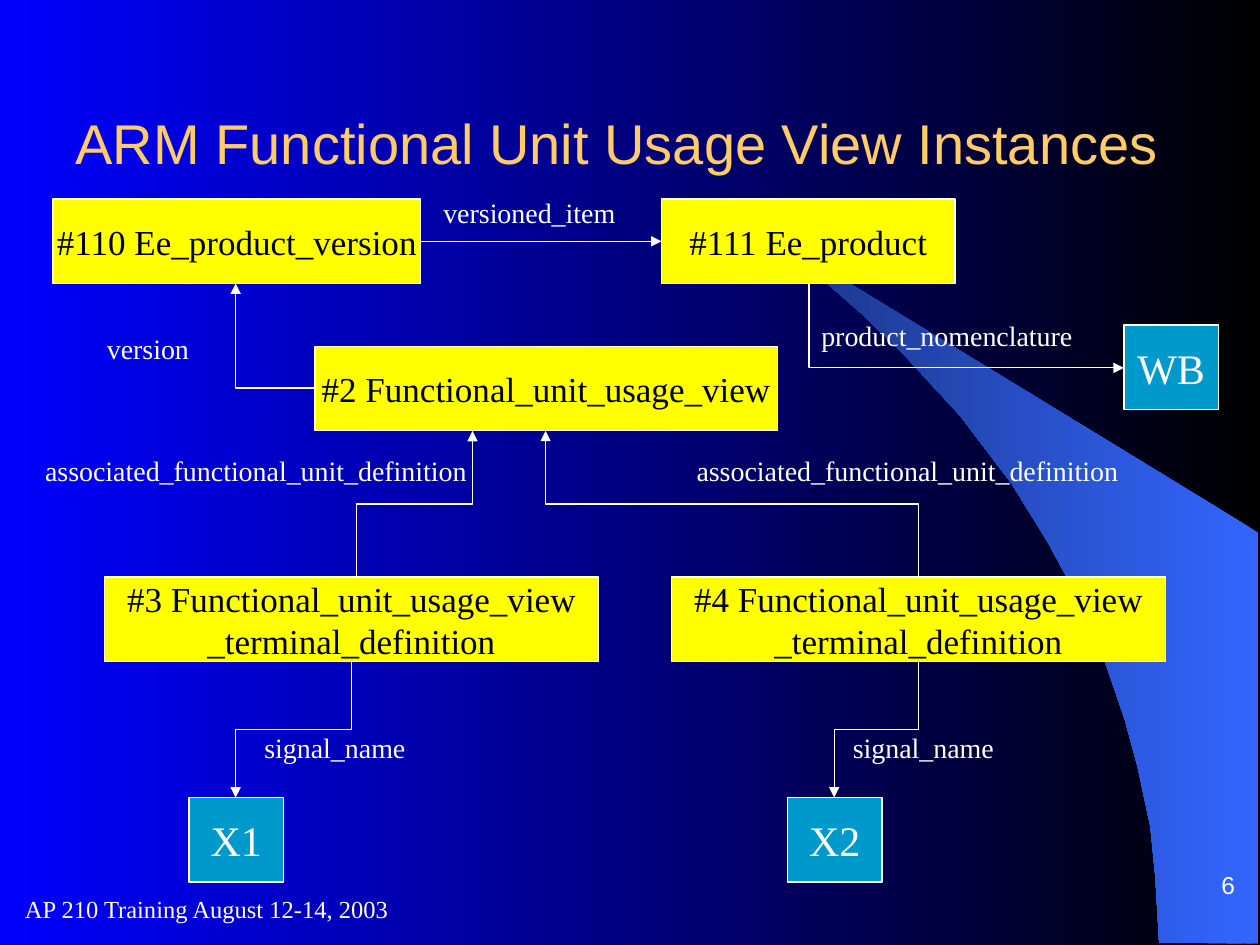
"""Build the slide on ARM functional unit usage view instances."""
from lxml import etree
from pptx import Presentation
from pptx.dml.color import RGBColor
from pptx.enum.shapes import MSO_CONNECTOR, MSO_SHAPE
from pptx.enum.text import MSO_ANCHOR, MSO_AUTO_SIZE, PP_ALIGN
from pptx.oxml.ns import qn
from pptx.util import Inches, Pt

RECT = MSO_SHAPE.RECTANGLE
STRAIGHT, ELBOW = MSO_CONNECTOR.STRAIGHT, MSO_CONNECTOR.ELBOW
LEFT, CENTER, RIGHT = PP_ALIGN.LEFT, PP_ALIGN.CENTER, PP_ALIGN.RIGHT
TOP, MIDDLE, BOTTOM = MSO_ANCHOR.TOP, MSO_ANCHOR.MIDDLE, MSO_ANCHOR.BOTTOM
FIT, FIXED = MSO_AUTO_SIZE.SHAPE_TO_FIT_TEXT, MSO_AUTO_SIZE.NONE
BLACK = RGBColor(0, 0, 0)
WHITE = RGBColor(255, 255, 255)
BLUE = RGBColor(0, 0, 255)
SKY = RGBColor(0x33, 0x66, 0xFF)
NAVY = RGBColor(0x19, 0x32, 0x7E)
GOLD = RGBColor(0xFF, 0xCC, 0x66)
YELLOW = RGBColor(255, 255, 0)
TEAL = RGBColor(0, 0x99, 0xCC)
SERIF, SANS = "Times New Roman", "Arial"

TITLE = "ARM Functional Unit Usage View Instances"
FOOTER = "AP 210 Training August 12-14, 2003"
NUMBER = "6"
BOX_H, VALUE_W, LABEL_H = 0.67, 0.75, 0.37
ENTITIES = [
    ("#2 Functional_unit_usage_view", 2.5, 2.75, 3.67),
    ("#3 Functional_unit_usage_view\n_terminal_definition", 0.83, 4.58, 3.92),
    ("#4 Functional_unit_usage_view\n_terminal_definition", 5.33, 4.58, 3.92),
    ("#110 Ee_product_version", 0.42, 1.58, 2.92),
    ("#111 Ee_product", 5.25, 1.58, 2.33),
]
VALUES = [("X1", 1.5, 6.33), ("X2", 6.25, 6.33), ("WB", 8.92, 2.58)]
LABELS = [
    ("associated_functional_unit_definition", 0.26, 3.55, 3.57),
    ("associated_functional_unit_definition", 5.43, 3.55, 3.57),
    ("signal_name", 2, 5.75, 1.34),
    ("signal_name", 6.67, 5.75, 1.34),
    ("version", 0.75, 2.58, 0.87),
    ("versioned_item", 3.42, 1.5, 1.6),
    ("product_nomenclature", 6.42, 2.48, 2.23),
]
BENDS = [
    ("up", (7.29, 4.58), (4.33, 3.42), 3),
    ("up", (2.83, 4.58), (3.75, 3.42), 3),
    ("down", (2.79, 5.25), (1.87, 6.33), 3),
    ("down", (7.29, 5.25), (6.62, 6.33), 3),
    ("left", (2.5, 3.08), (1.87, 2.25), 2),
    ("down", (6.42, 2.25), (8.92, 2.92), 2),
]
TURNS = {"down": 90, "left": 180, "up": 270}
SWOOSH = [
    (9.2, 7.48), (9.99, 7.49), (9.99, 4.23), (5.89, 1.73), (6.24, 1.99),
    (6.53, 2.22), (6.85, 2.5), (7.16, 2.8), (7.62, 3.3), (8.03, 3.84),
    (8.32, 4.31), (8.58, 4.79), (8.78, 5.28), (8.93, 5.72), (9.03, 6.09),
    (9.13, 6.56), (9.17, 6.96),
]


def shade(fill, first, last):
    fill.gradient()
    fill.gradient_angle = 180
    for stop, color in zip(fill.gradient_stops, (first, last)):
        stop.color.rgb = color


def write(shape, text, size, color, font=SERIF, align=LEFT, anchor=MIDDLE,
          wrap=False, fit=FIXED):
    frame = shape.text_frame
    frame.word_wrap, frame.auto_size = wrap, fit
    frame.vertical_anchor = anchor
    para = frame.paragraphs[0]
    para.text, para.alignment = text, align
    for run in para.runs:
        run.font.size, run.font.name = Pt(size), font
        run.font.color.rgb = color


def add_box(shapes, text, left, top, width, fill, size, color):
    box = shapes.add_shape(RECT, *map(Inches, (left, top, width, BOX_H)))
    box.shadow.inherit = False
    box.fill.solid()
    box.fill.fore_color.rgb = fill
    box.line.color.rgb = WHITE
    box.line.width = Pt(0.75)
    write(box, text, size, color, align=CENTER)
    return box


def add_text(shapes, place, *args, **style):
    box = shapes.add_textbox(*map(Inches, place))
    write(box, *args, **style)
    return box


def add_arrow(shapes, kind, start, end):
    link = shapes.add_connector(kind, *map(Inches, start + end))
    link.line.color.rgb = WHITE
    link.line.width = Pt(0.75)
    line = link.line._get_or_add_ln()
    etree.SubElement(line, qn("a:tailEnd"), type="triangle")
    etree.SubElement(link._element.spPr, qn("a:effectLst"))
    return link


def add_bend(shapes, way, start, end, parts):
    link = add_arrow(shapes, ELBOW, start, end)
    dx, dy = end[0] - start[0], end[1] - start[1]
    across = {"down": -dx, "left": -dy, "up": dx}[way]
    wide, high = (dx, dy) if way == "left" else (dy, dx)
    wide, high = abs(wide), abs(high)
    link.left = Inches((start[0] + end[0] - wide) / 2)
    link.top = Inches((start[1] + end[1] - high) / 2)
    link.width, link.height = Inches(wide), Inches(high)
    props = link._element.spPr
    frame = props.find(qn("a:xfrm"))
    frame.set("rot", str(TURNS[way] * 60000))
    frame.set("flipH", "0")
    frame.set("flipV", str(int(across < 0)))
    props.find(qn("a:prstGeom")).set("prst", f"bentConnector{parts}")


def add_swoosh(shapes):
    points = [(Inches(x), Inches(y)) for x, y in SWOOSH]
    path = shapes.build_freeform(*points[0], scale=1.0)
    path.add_line_segments(points[1:], close=True)
    swoosh = path.convert_to_shape()
    swoosh.shadow.inherit = False
    shade(swoosh.fill, SKY, NAVY)
    swoosh.line.fill.background()
    shapes._spTree.insert(2, swoosh._element)


def main():
    deck = Presentation()
    deck.slide_width, deck.slide_height = Inches(10), Inches(7.5)
    slide = deck.slides.add_slide(deck.slide_layouts[5])
    shapes = slide.shapes
    shade(slide.background.fill, BLACK, BLUE)
    add_swoosh(shapes)

    title = shapes.title
    title.left, title.top = Inches(0.5), Inches(0.5)
    title.width, title.height = Inches(9), Inches(1.25)
    write(title, TITLE, 32, GOLD, SANS, wrap=True)

    for bend in BENDS:
        add_bend(shapes, *bend)
    boxes = [add_box(shapes, *row, YELLOW, 20, BLACK) for row in ENTITIES]
    for row in VALUES:
        add_box(shapes, *row, VALUE_W, TEAL, 24, WHITE)
    link = add_arrow(shapes, STRAIGHT, (3.34, 1.92), (5.25, 1.92))
    link.begin_connect(boxes[3], 3)
    link.end_connect(boxes[4], 1)
    for text, left, top, width in LABELS:
        add_text(shapes, (left, top, width, LABEL_H), text, 16, WHITE,
                 anchor=TOP, fit=FIT)

    add_text(shapes, (0.1, 6.96, 4.67, 0.5), FOOTER, 14, WHITE, wrap=True)
    page = add_text(shapes, (7.85, 6.72, 2.05, 0.42), NUMBER, 14, WHITE, SANS,
                    align=RIGHT, anchor=BOTTOM, wrap=True)
    page.text_frame.margin_top = page.text_frame.margin_bottom = 0
    deck.save("out.pptx")


if __name__ == "__main__":
    main()
